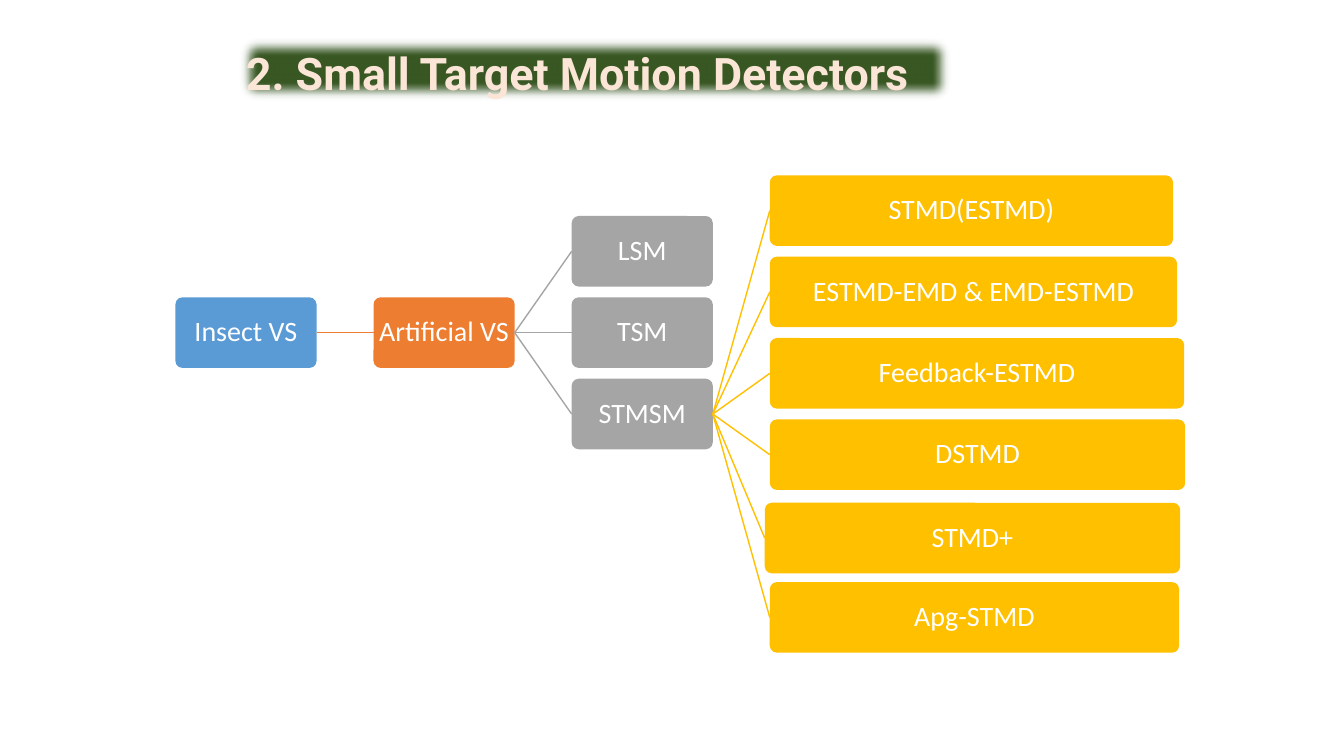
import pptx
import pptx.util
import pptx.dml.color
import pptx.enum.shapes
import pptx.enum.text
import pptx.oxml
import pptx.oxml.ns

Inches, Pt = pptx.util.Inches, pptx.util.Pt
Kind = pptx.enum.shapes.MSO_SHAPE
Align = pptx.enum.text.PP_ALIGN
Anchor = pptx.enum.text.MSO_ANCHOR

WIDE, HIGH = 13.33, 7.5
COL, ROW = 1.965, 0.807
BOX, TALL = 1.4, 0.7
HUES = {"blue": "5B9BD5", "orange": "ED7D31", "gray": "A5A5A5", "gold": "FFC000",
        "green": "385723", "peach": "FBE5D6", "white": "FFFFFF"}
MODELS = [("STMD(ESTMD)", 4, 0, 0), ("ESTMD-EMD & EMD-ESTMD", 4.04, 0, 0),
          ("Feedback-ESTMD", 4.11, 0, 0), ("DSTMD", 4.12, 0, 0),
          ("STMD+", 4.12, -0.05, 0.02), ("Apg-STMD", 4.06, 0, 0)]


def rgb(hue):
    """Return the named colour."""
    return pptx.dml.color.RGBColor.from_string(HUES[hue])


def panel(slide, kind, box, hue):
    """Add a flat filled shape without a line."""
    shape = slide.shapes.add_shape(kind, *map(Inches, box))
    shape.shadow.inherit = False
    shape.fill.solid()
    shape.fill.fore_color.rgb = rgb(hue)
    shape.line.fill.background()
    return shape


def write(shape, text, face, size, hue, align, anchor, bold=False):
    """Put one line of text into a shape."""
    frame = shape.text_frame
    frame.word_wrap = True
    frame.vertical_anchor = anchor
    para = frame.paragraphs[0]
    para.alignment = align
    para.line_spacing = 0.9
    run = para.add_run()
    run.text = text
    run.font.name, run.font.size, run.font.bold = face, Pt(size), bold
    run.font.color.rgb = rgb(hue)


def title(slide, box):
    """Draw the heading on a band with soft edges."""
    band = panel(slide, Kind.RECTANGLE, box, "green")
    soft = pptx.oxml.parse_xml(
        f'<a:softEdge {pptx.oxml.ns.nsdecls("a")} rad="112500"/>')
    band._element.spPr.find(pptx.oxml.ns.qn("a:effectLst")).append(soft)
    write(band, "2. Small Target Motion Detectors", "Roboto", 32, "peach",
          Align.LEFT, Anchor.BOTTOM, True)


def link(slide, start, end, hue):
    """Join the right side of one node to the left side of another."""
    line = slide.shapes.add_connector(
        pptx.enum.shapes.MSO_CONNECTOR.STRAIGHT, 0, 0, 0, 0)
    line.begin_connect(start, 3)
    line.end_connect(end, 1)
    line.line.color.rgb = rgb(hue)
    line.line.width = Pt(1)
    line._element.spPr.append(pptx.oxml.parse_xml(
        f'<a:effectLst {pptx.oxml.ns.nsdecls("a")}/>'))


def node(slide, box, text, hue, root=None):
    """Draw a tree node and its link from the root."""
    shape = panel(slide, Kind.ROUNDED_RECTANGLE, box, hue)
    shape.adjustments[0] = 0.1
    frame = shape.text_frame
    frame.margin_left = frame.margin_right = Inches(0.01)
    frame.margin_top = frame.margin_bottom = Inches(0.01)
    write(shape, text, "Calibri", 20, "white", Align.CENTER, Anchor.MIDDLE)
    if root is not None:
        link(slide, root, shape, hue)
    return shape


def tree(slide, left, top):
    """Lay out the tree of vision systems on columns and rows."""
    def place(col, row, text, hue, root=None, wide=BOX, dx=0, dy=0):
        """Put a node in a cell of the grid."""
        box = (left + col * COL + dx, top + row * ROW + dy, wide, TALL)
        return node(slide, box, text, hue, root)

    insect = place(0, 1.5, "Insect VS", "blue")
    robot = place(1, 1.5, "Artificial VS", "orange", insect)
    for row, text in enumerate(("LSM", "TSM", "STMSM")):
        small = place(2, row + 0.5, text, "gray", robot)
    for row, (text, wide, dx, dy) in enumerate(MODELS):
        place(3, row, text, "gold", small, wide, dx, dy)


deck = pptx.Presentation()
deck.slide_width, deck.slide_height = Inches(WIDE), Inches(HIGH)
page = deck.slides.add_slide(deck.slide_layouts[6])
tree(page, 1.74, 1.74)
title(page, (2.34, 0.33, 7.13, 0.71))
deck.save("out.pptx")
